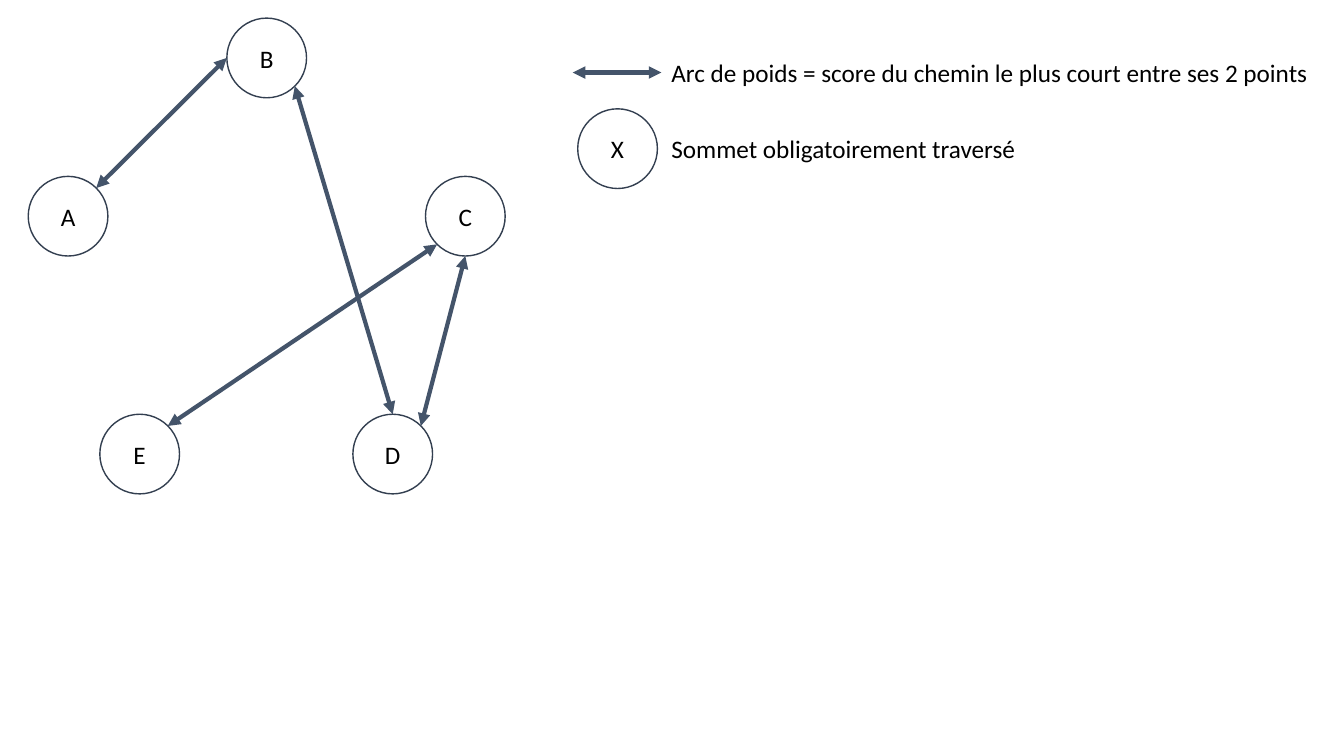
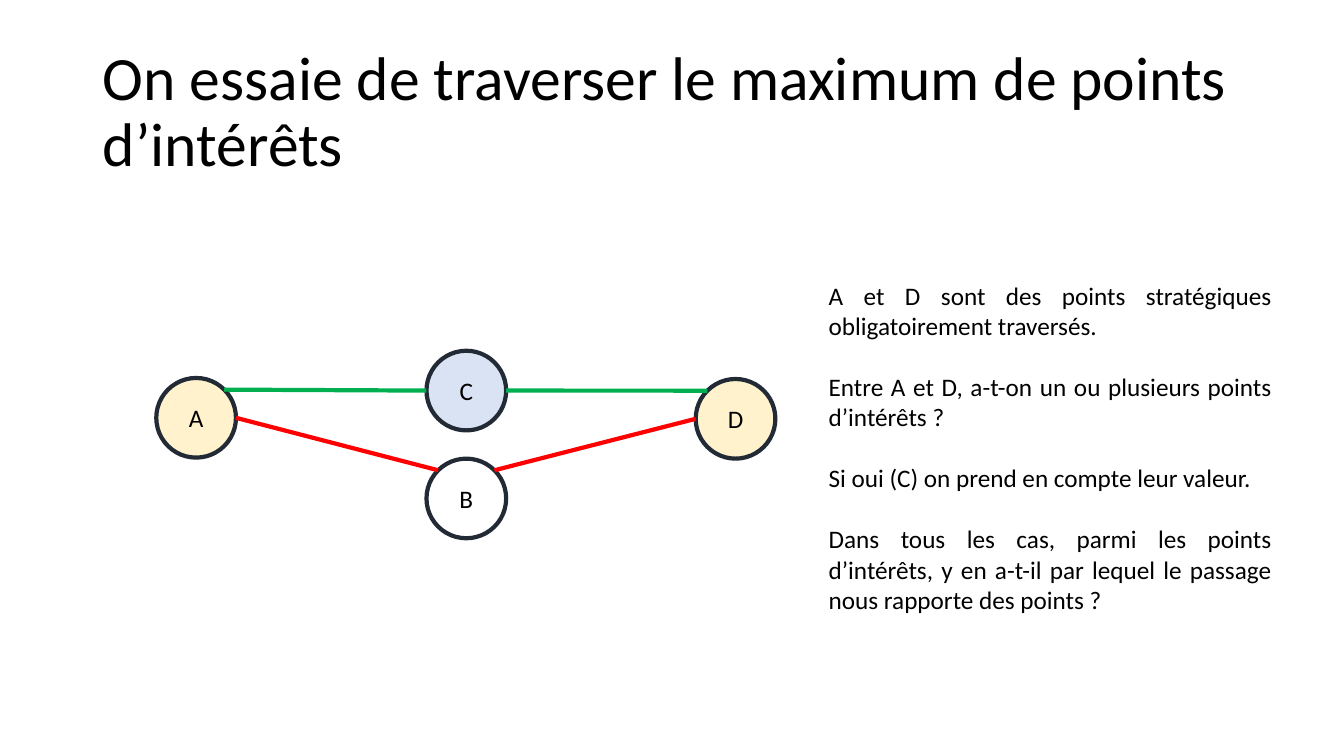
import math
from dataclasses import dataclass
from typing import Optional

from lxml import etree
from pptx import Presentation
from pptx.dml.color import RGBColor
from pptx.enum import shapes as kinds, text as styles
from pptx.oxml.ns import qn
from pptx.util import Inches, Pt

BLACK = RGBColor(0x00, 0x00, 0x00)
WHITE = RGBColor(0xFF, 0xFF, 0xFF)
SLATE = RGBColor(0x33, 0x3F, 0x50)
DARK_SLATE = RGBColor(0x22, 0x2A, 0x35)
ARC_BLUE = RGBColor(0x44, 0x54, 0x6A)
CREAM = RGBColor(0xFF, 0xF2, 0xCC)
PALE_BLUE = RGBColor(0xDA, 0xE3, 0xF3)
GREEN = RGBColor(0x00, 0xB0, 0x50)
RED = RGBColor(0xFF, 0x00, 0x00)

FONT = "Calibri"
DIAMETER = 0.79
LINE_POINTS = 3

# Connection sites of an ellipse, counterclockwise from the top
TOP, TOP_LEFT, LEFT, BOTTOM_LEFT, BOTTOM, BOTTOM_RIGHT, RIGHT, TOP_RIGHT = range(8)


@dataclass(frozen=True)
class Node:
    label: str
    left: float
    top: float
    fill: Optional[RGBColor] = WHITE

    def site(self, index: int) -> tuple[float, float]:
        """Give the point, in inches, of one connection site."""
        angle = math.radians(90 + 45 * index)
        radius = DIAMETER / 2
        return (self.left + radius * (1 + math.cos(angle)),
                self.top + radius * (1 - math.sin(angle)))


@dataclass(frozen=True)
class Edge:
    start: str
    start_site: int
    end: str
    end_site: int
    color: RGBColor = ARC_BLUE


REQUIRED_NODES = [
    Node("B", 2.25, 0.18),
    Node("E", 0.99, 4.11),
    Node("D", 3.5, 4.11),
    Node("C", 4.22, 1.75),
    Node("A", 0.28, 1.75),
]
SHORTEST_ARCS = [
    Edge("A", TOP_RIGHT, "B", LEFT),
    Edge("D", TOP, "B", BOTTOM_RIGHT),
    Edge("D", TOP_RIGHT, "C", BOTTOM),
    Edge("E", TOP_RIGHT, "C", BOTTOM_LEFT),
]
INTEREST_NODES = [
    Node("B", 4.23, 4.55, None),
    Node("D", 6.9, 3.76, CREAM),
    Node("A", 1.55, 3.75, CREAM),
    Node("C", 4.23, 3.48, PALE_BLUE),
]
CANDIDATE_PATHS = [
    Edge("A", TOP_RIGHT, "C", LEFT, GREEN),
    Edge("C", RIGHT, "D", TOP_LEFT, GREEN),
    Edge("A", RIGHT, "B", TOP_LEFT, RED),
    Edge("D", LEFT, "B", TOP_RIGHT, RED),
]
TITLE = "On essaie de traverser le maximum de points d’intérêts"
EXPLANATION = [
    "A et D sont des points stratégiques obligatoirement traversés.",
    "Entre A et D, a-t-on un ou plusieurs points d’intérêts ?",
    "Si oui (C) on prend en compte leur valeur.",
    "Dans tous les cas, parmi les points d’intérêts, y en a-t-il par lequel "
    "le passage nous rapporte des points ?",
]


def write(frame, lines: list[str], size: int = 18, **paragraph_format) -> None:
    frame.text = "\n".join(lines)
    for paragraph in frame.paragraphs:
        for name, value in paragraph_format.items():
            setattr(paragraph, name, value)
        for run in paragraph.runs:
            for name, value in {"name": FONT, "size": Pt(size)}.items():
                setattr(run.font, name, value)
            run.font.color.rgb = BLACK


def add_text(slide, left: float, top: float, width: float, height: float,
             lines: list[str], wrap: bool = False, **paragraph_format) -> None:
    box = slide.shapes.add_textbox(*map(Inches, (left, top, width, height)))
    box.text_frame.word_wrap = wrap
    write(box.text_frame, lines, **paragraph_format)


def add_node(slide, node: Node, outline: RGBColor, outline_points: float):
    circle = slide.shapes.add_shape(
        kinds.MSO_SHAPE.OVAL,
        *map(Inches, (node.left, node.top, DIAMETER, DIAMETER)))
    circle.shadow.inherit = False
    if node.fill is None:
        circle.fill.background()
    else:
        circle.fill.solid()
        circle.fill.fore_color.rgb = node.fill
    circle.line.color.rgb = outline
    circle.line.width = Pt(outline_points)
    circle.text_frame.vertical_anchor = styles.MSO_ANCHOR.MIDDLE
    write(circle.text_frame, [node.label], alignment=styles.PP_ALIGN.CENTER)
    return circle


def add_line(slide, start: tuple[float, float], end: tuple[float, float],
             color: RGBColor, arrows: bool):
    line = slide.shapes.add_connector(
        kinds.MSO_CONNECTOR.STRAIGHT, *map(Inches, (*start, *end)))
    line.line.color.rgb = color
    line.line.width = Pt(LINE_POINTS)
    if arrows:
        for tag in ("a:headEnd", "a:tailEnd"):
            etree.SubElement(line.line._get_or_add_ln(), qn(tag), type="triangle")
    etree.SubElement(line._element.spPr, qn("a:effectLst"))
    return line


def add_graph(slide, nodes: list[Node], edges: list[Edge], outline: RGBColor,
              outline_points: float, arrows: bool) -> None:
    """Draw the nodes, then the edges glued to their connection sites."""
    by_label = {node.label: node for node in nodes}
    circles = {node.label: add_node(slide, node, outline, outline_points)
               for node in nodes}
    for edge in edges:
        line = add_line(slide, by_label[edge.start].site(edge.start_site),
                        by_label[edge.end].site(edge.end_site), edge.color, arrows)
        glue = line._element.find(".//" + qn("p:cNvCxnSpPr"))
        for tag, label, site in (("a:stCxn", edge.start, edge.start_site),
                                 ("a:endCxn", edge.end, edge.end_site)):
            etree.SubElement(glue, qn(tag), id=str(circles[label].shape_id),
                             idx=str(site))


def add_title(slide, title: str) -> None:
    placeholder = slide.shapes.title
    bounds = {"left": 0.92, "top": 0.4, "width": 11.5, "height": 1.45}
    for name, value in bounds.items():
        setattr(placeholder, name, Inches(value))
    frame = placeholder.text_frame
    frame.auto_size = styles.MSO_AUTO_SIZE.NONE
    frame.vertical_anchor = styles.MSO_ANCHOR.MIDDLE
    write(frame, [title], size=44, alignment=styles.PP_ALIGN.LEFT, line_spacing=0.9)


def build_required_nodes_slide(deck) -> None:
    slide = deck.slides.add_slide(deck.slide_layouts[6])
    add_graph(slide, REQUIRED_NODES, SHORTEST_ARCS, SLATE, 1, arrows=True)
    add_line(slide, (5.68, 0.72), (6.56, 0.72), ARC_BLUE, arrows=True)
    add_text(slide, 6.56, 0.52, 6.59, 0.4,
             ["Arc de poids = score du chemin le plus court entre ses 2 points"])
    add_node(slide, Node("X", 5.73, 1.08), SLATE, 1)
    add_text(slide, 6.56, 1.27, 3.75, 0.4, ["Sommet obligatoirement traversé"])


def build_interest_points_slide(deck) -> None:
    slide = deck.slides.add_slide(deck.slide_layouts[5])
    add_title(slide, TITLE)
    add_graph(slide, INTEREST_NODES, CANDIDATE_PATHS, DARK_SLATE, LINE_POINTS,
              arrows=False)
    add_text(slide, 8.12, 2.73, 4.59, 3.43, EXPLANATION, wrap=True,
             alignment=styles.PP_ALIGN.JUSTIFY, space_after=Pt(22))


def main() -> None:
    deck = Presentation()
    deck.slide_width, deck.slide_height = Inches(13.33), Inches(7.5)
    build_required_nodes_slide(deck)
    build_interest_points_slide(deck)
    deck.save("out.pptx")


if __name__ == "__main__":
    main()
